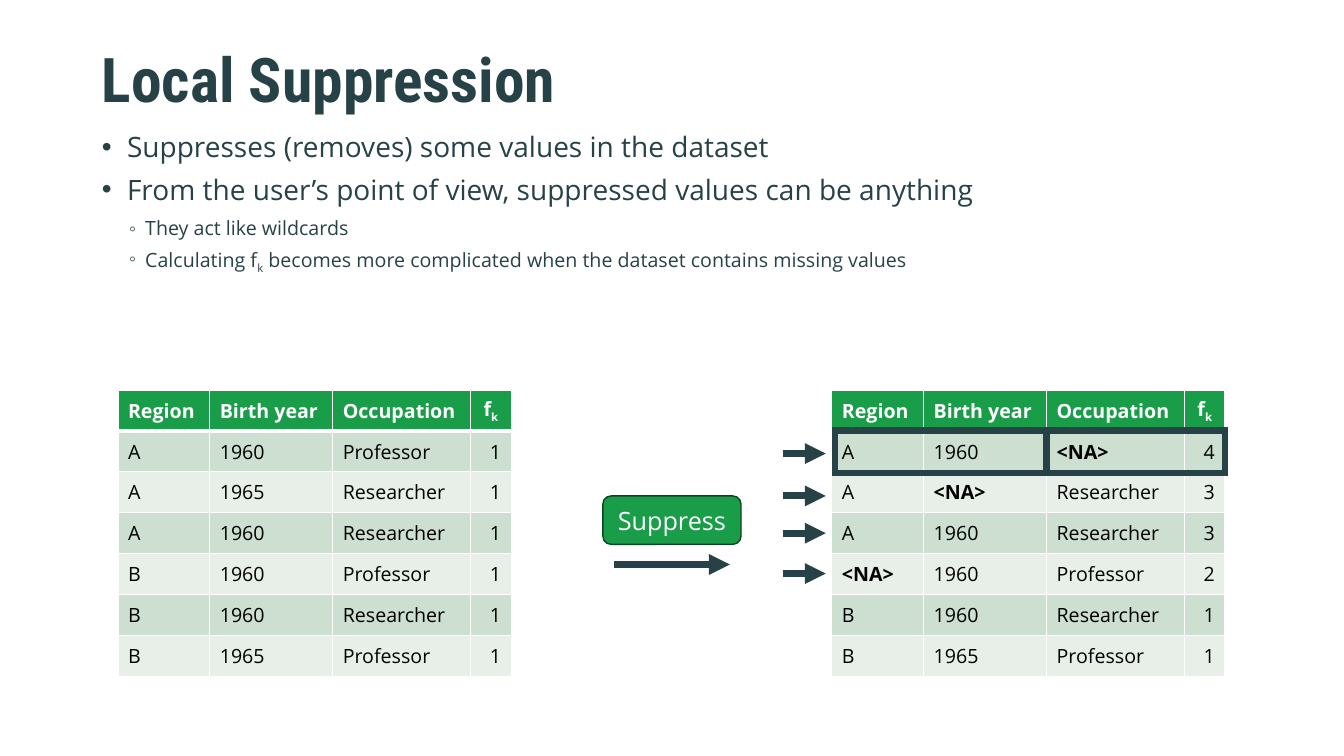
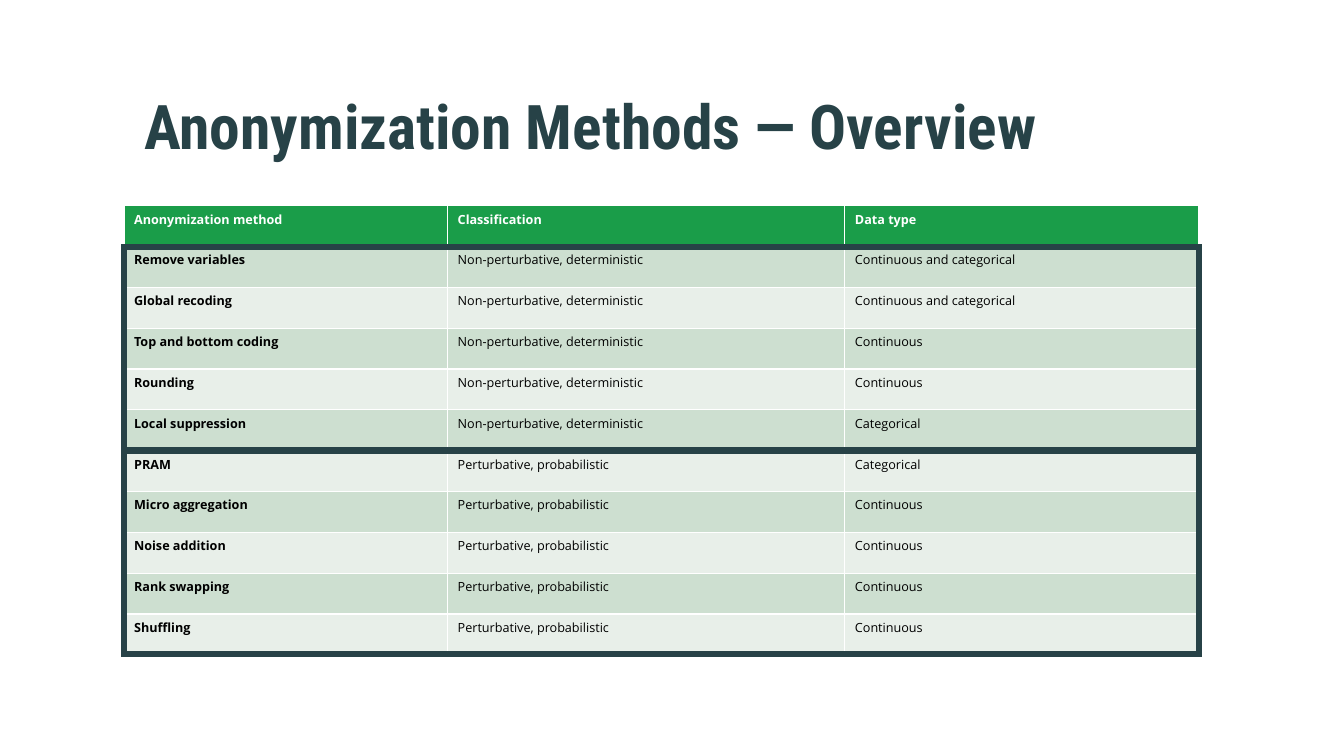
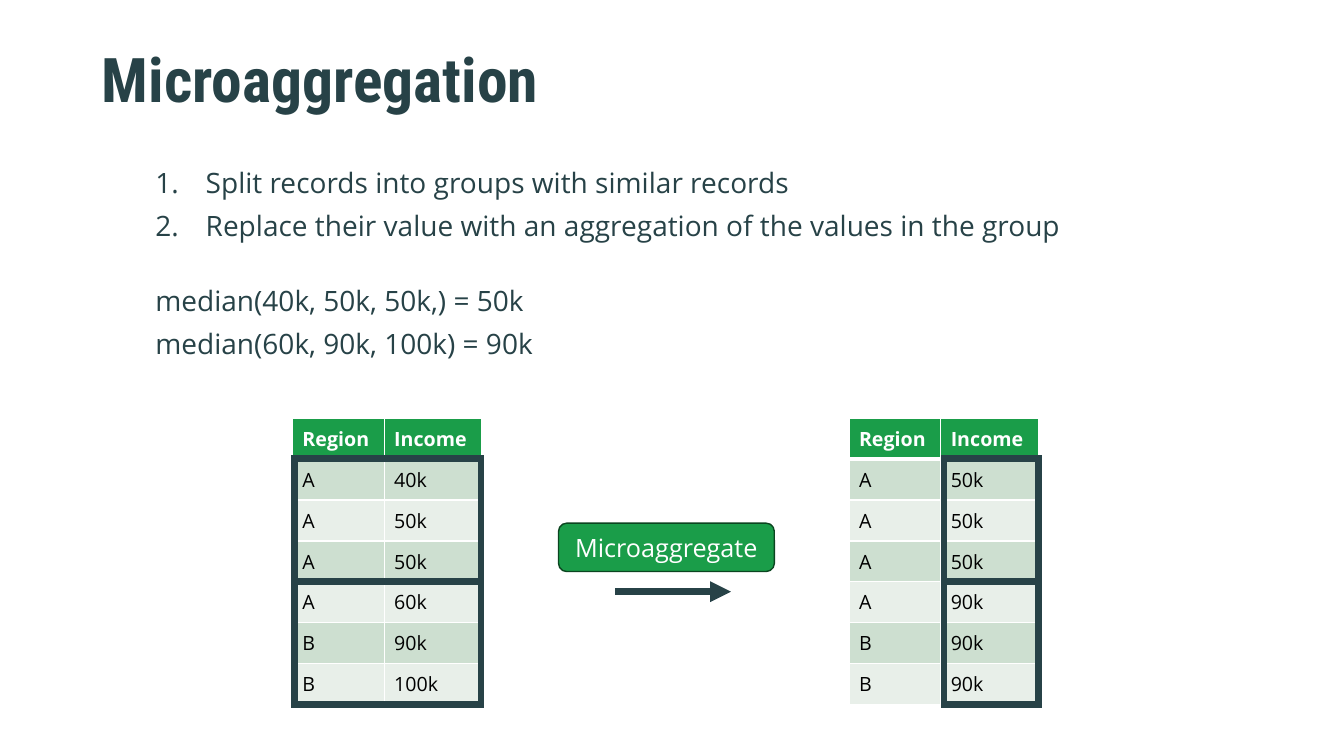
from dataclasses import dataclass
from typing import Any

from lxml.etree import SubElement
from pptx import Presentation
from pptx.dml.color import RGBColor
from pptx.enum.shapes import MSO_CONNECTOR, MSO_SHAPE
from pptx.enum.text import MSO_ANCHOR, MSO_AUTO_SIZE, PP_ALIGN
from pptx.oxml.ns import qn
from pptx.util import Inches, Pt

DARK, GREEN, DEEP_GREEN = "274247", "1A9D49", "0B4520"
WHITE, BLACK = "FFFFFF", "000000"
BANDS = ("CDDFD0", "E8EFE9")
TITLE_FONT, TEXT_FONT = "Roboto Condensed", "Open Sans"
TITLE_BOX = (0.91, 0.41, 10.86, 0.86)


@dataclass(frozen=True)
class Item:
    """A body paragraph; text between bars is subscript."""

    text: str
    bullet: str = ""
    left: float = 0
    hanging: float = 0
    size: int = 20
    after: int = 9
    before: int = 0
    level: int = 0


@dataclass(frozen=True)
class Grid:
    """A banded table with a header row."""

    left: float
    top: float
    height: float
    widths: tuple[float, ...]
    rows: tuple[tuple[str, ...], ...]
    size: int = 14
    anchor: Any = MSO_ANCHOR.MIDDLE
    bold_first: bool = False
    numeric_last: bool = False


@dataclass(frozen=True)
class Arrow:
    """A horizontal arrow pointing right."""

    left: float
    top: float
    length: float


@dataclass(frozen=True)
class Box:
    """A rectangle, either a dark frame or a labelled green button."""

    left: float
    top: float
    width: float
    height: float
    label: str = ""


def color(value: str) -> RGBColor:
    """Turn a hex string into a colour."""
    return RGBColor.from_string(value)


def apply_format(target: Any, values: dict[str, Any]) -> None:
    """Set every named attribute on the target."""
    for name, value in values.items():
        setattr(target, name, value)


def place(shape: Any, left: float, top: float, width: float, height: float) -> None:
    """Move and size a shape in inches."""
    edges = {"left": left, "top": top, "width": width, "height": height}
    apply_format(shape, {name: Inches(value) for name, value in edges.items()})


def write(paragraph: Any, text: str, size: int, value: str, bold: bool = False, font: str = TEXT_FONT) -> None:
    """Add runs to a paragraph, with text between bars as subscript."""
    for index, piece in enumerate(text.split("|")):
        if piece:
            run = paragraph.add_run()
            run.text = piece
            apply_format(run.font, {"size": Pt(size), "name": font, "bold": bold})
            run.font.color.rgb = color(value)
            if index % 2:
                run._r.get_or_add_rPr().set("baseline", "-25000")


def add_title(slide: Any, text: str, box: tuple[float, ...] = TITLE_BOX) -> None:
    """Fill and format the title placeholder."""
    title = slide.shapes.title
    place(title, *box)
    frame = title.text_frame
    apply_format(frame, {
        "word_wrap": True, "auto_size": MSO_AUTO_SIZE.NONE, "vertical_anchor": MSO_ANCHOR.MIDDLE,
        "margin_left": Inches(0.1), "margin_right": Inches(0.1),
        "margin_top": 0, "margin_bottom": Inches(0.05),
    })
    paragraph = frame.paragraphs[0]
    apply_format(paragraph, {"alignment": PP_ALIGN.LEFT, "line_spacing": 0.9, "space_before": Pt(0)})
    write(paragraph, text, 44, DARK, True, TITLE_FONT)


def add_body(slide: Any, box: tuple[float, ...], items: tuple[Item, ...]) -> None:
    """Fill and format the body placeholder."""
    body = slide.placeholders[1]
    place(body, *box)
    frame = body.text_frame
    apply_format(frame, {
        "word_wrap": True, "auto_size": MSO_AUTO_SIZE.NONE, "vertical_anchor": MSO_ANCHOR.TOP,
    })
    for index, item in enumerate(items):
        paragraph = frame.add_paragraph() if index else frame.paragraphs[0]
        properties = paragraph._p.get_or_add_pPr()
        properties.set("marL", str(Inches(item.left)))
        properties.set("indent", str(-Inches(item.hanging)))
        if item.bullet == "1.":
            SubElement(properties, qn("a:buAutoNum"), type="arabicPeriod")
        elif item.bullet:
            SubElement(properties, qn("a:buChar"), char=item.bullet)
        else:
            SubElement(properties, qn("a:buNone"))
        apply_format(paragraph, {
            "level": item.level, "alignment": PP_ALIGN.LEFT, "line_spacing": 0.9,
            "space_before": Pt(item.before), "space_after": Pt(item.after),
        })
        write(paragraph, item.text, item.size, DARK)


def add_borders(cell: Any, row: int) -> None:
    """Draw white cell borders, thicker below the header."""
    properties = cell._tc.get_or_add_tcPr()
    widths = {"L": 1, "R": 1, "T": 3 if row == 1 else 1, "B": 3 if row == 0 else 1}
    for side, width in widths.items():
        line = SubElement(properties, qn(f"a:ln{side}"), w=str(Pt(width)))
        fill = SubElement(line, qn("a:solidFill"))
        SubElement(fill, qn("a:srgbClr"), val=WHITE)


def add_grid(slide: Any, grid: Grid) -> None:
    """Draw a table."""
    table = slide.shapes.add_table(
        len(grid.rows), len(grid.widths), Inches(grid.left), Inches(grid.top),
        Inches(sum(grid.widths)), Inches(grid.height),
    ).table
    table.horz_banding = False
    for column, width in zip(table.columns, grid.widths):
        column.width = Inches(width)
    for row, texts in enumerate(grid.rows):
        table.rows[row].height = Inches(grid.height / len(grid.rows))
        for column, text in enumerate(texts):
            cell = table.cell(row, column)
            header = row == 0
            add_borders(cell, row)
            cell.fill.solid()
            cell.fill.fore_color.rgb = color(GREEN if header else BANDS[(row - 1) % 2])
            cell.vertical_anchor = grid.anchor
            paragraph = cell.text_frame.paragraphs[0]
            if grid.numeric_last and column == len(texts) - 1:
                paragraph.alignment = PP_ALIGN.CENTER if header else PP_ALIGN.RIGHT
            bold = header or text == "<NA>" or (grid.bold_first and column == 0)
            write(paragraph, text, grid.size, WHITE if header else BLACK, bold)


def add_arrow(slide: Any, arrow: Arrow) -> None:
    """Draw an arrow."""
    top = Inches(arrow.top)
    connector = slide.shapes.add_connector(
        MSO_CONNECTOR.STRAIGHT, Inches(arrow.left), top, Inches(arrow.left + arrow.length), top
    )
    connector.line.color.rgb = color(DARK)
    connector.line.width = Pt(5)
    SubElement(connector.line._get_or_add_ln(), qn("a:tailEnd"), type="triangle")
    SubElement(connector._element.spPr, qn("a:effectLst"))


def add_box(slide: Any, box: Box) -> None:
    """Draw a frame, or a button if the box has a label."""
    kind = MSO_SHAPE.ROUNDED_RECTANGLE if box.label else MSO_SHAPE.RECTANGLE
    edges = (Inches(value) for value in (box.left, box.top, box.width, box.height))
    shape = slide.shapes.add_shape(kind, *edges)
    shape.shadow.inherit = False
    shape.line.color.rgb = color(DEEP_GREEN if box.label else DARK)
    shape.line.width = Pt(1 if box.label else 4.5)
    if not box.label:
        shape.fill.background()
        SubElement(shape.line._get_or_add_ln(), qn("a:miter"), lim="800000")
        return
    shape.fill.solid()
    shape.fill.fore_color.rgb = color(GREEN)
    shape.text_frame.vertical_anchor = MSO_ANCHOR.MIDDLE
    paragraph = shape.text_frame.paragraphs[0]
    paragraph.alignment = PP_ALIGN.CENTER
    write(paragraph, box.label, 18, WHITE)


def build_suppression(presentation: Any) -> None:
    """Build the local suppression slide."""
    slide = presentation.slides.add_slide(presentation.slide_layouts[1])
    add_title(slide, "Local Suppression")
    main = {"bullet": "•", "left": 0.25, "hanging": 0.25}
    detail = {"bullet": "◦", "left": 0.43, "hanging": 0.16, "size": 14, "after": 6, "level": 1}
    add_body(slide, (0.91, 1.27, 12.13, 2.11), (
        Item("Suppresses (removes) some values in the dataset", **main),
        Item("From the user’s point of view, suppressed values can be anything", **main),
        Item("They act like wildcards", **detail),
        Item("Calculating f|k| becomes more complicated when the dataset contains missing values", **detail),
    ))
    header = ("Region", "Birth year", "Occupation", "f|k|")
    before = (
        ("A", "1960", "Professor", "1"),
        ("A", "1965", "Researcher", "1"),
        ("A", "1960", "Researcher", "1"),
        ("B", "1960", "Professor", "1"),
        ("B", "1960", "Researcher", "1"),
        ("B", "1965", "Professor", "1"),
    )
    after = (
        ("A", "1960", "<NA>", "4"),
        ("A", "<NA>", "Researcher", "3"),
        ("A", "1960", "Researcher", "3"),
        ("<NA>", "1960", "Professor", "2"),
        *before[4:],
    )
    for left, rows in ((1.17, before), (8.25, after)):
        add_grid(slide, Grid(left, 3.87, 2.84, (0.91, 1.22, 1.37, 0.4), (header, *rows), numeric_last=True))
    add_arrow(slide, Arrow(6.09, 5.6, 1.15))
    add_box(slide, Box(5.98, 4.92, 1.37, 0.48, "Suppress"))
    for width in (3.87, 2.1):
        add_box(slide, Box(8.28, 4.27, width, 0.42))
    for top in (4.5, 4.92, 5.29, 5.69):
        add_arrow(slide, Arrow(7.77, top, 0.42))


def build_overview(presentation: Any) -> None:
    """Build the methods overview slide."""
    slide = presentation.slides.add_slide(presentation.slide_layouts[5])
    groups = {
        "Non-perturbative, deterministic": (
            ("Remove variables", "Continuous and categorical"),
            ("Global recoding", "Continuous and categorical"),
            ("Top and bottom coding", "Continuous"),
            ("Rounding", "Continuous"),
            ("Local suppression", "Categorical"),
        ),
        "Perturbative, probabilistic": (
            ("PRAM", "Categorical"),
            ("Micro aggregation", "Continuous"),
            ("Noise addition", "Continuous"),
            ("Rank swapping", "Continuous"),
            ("Shuffling", "Continuous"),
        ),
    }
    header = ("Anonymization method", "Classification", "Data type")
    methods = tuple(
        (method, group, data) for group, entries in groups.items() for method, data in entries
    )
    add_grid(slide, Grid(
        1.23, 2.04, 4.46, (3.21, 3.94, 3.51), (header, *methods),
        size=9, anchor=MSO_ANCHOR.TOP, bold_first=True,
    ))
    add_title(slide, "Anonymization Methods — Overview", (1.33, 0.6, 10.56, 1.43))
    for index in range(len(groups)):
        add_box(slide, Box(1.23, 2.45 + index * 2.02, 10.66, 2.02))


def build_microaggregation(presentation: Any) -> None:
    """Build the microaggregation slide."""
    slide = presentation.slides.add_slide(presentation.slide_layouts[1])
    add_title(slide, "Microaggregation")
    step = {"bullet": "1.", "left": 0.5, "hanging": 0.5}
    add_body(slide, (1.44, 1.63, 9.32, 2.5), (
        Item("Split records into groups with similar records", **step),
        Item("Replace their value with an aggregation of the values in the group", **step),
        Item("median(40k, 50k, 50k,) = 50k", before=23),
        Item("median(60k, 90k, 100k) = 90k"),
    ))
    regions = ("A", "A", "A", "A", "B", "B")
    tables = (
        (2.9, ("40k", "50k", "50k", "60k", "90k", "100k")),
        (8.42, ("50k", "50k", "50k", "90k", "90k", "90k")),
    )
    for left, incomes in tables:
        rows = (("Region", "Income"), *zip(regions, incomes))
        add_grid(slide, Grid(left, 4.15, 2.84, (0.91, 0.97), rows))
    add_arrow(slide, Arrow(6.1, 5.87, 1.15))
    add_box(slide, Box(5.54, 5.19, 2.14, 0.48, "Microaggregate"))
    for left, width in ((2.92, 1.85), (9.36, 0.94)):
        for index in range(2):
            add_box(slide, Box(left, 4.55 + index * 1.22, width, 1.22))


def main() -> None:
    """Build and save the presentation."""
    presentation = Presentation()
    apply_format(presentation, {"slide_width": Inches(13.33), "slide_height": Inches(7.5)})
    for build in (build_suppression, build_overview, build_microaggregation):
        build(presentation)
    presentation.save("out.pptx")


if __name__ == "__main__":
    main()
